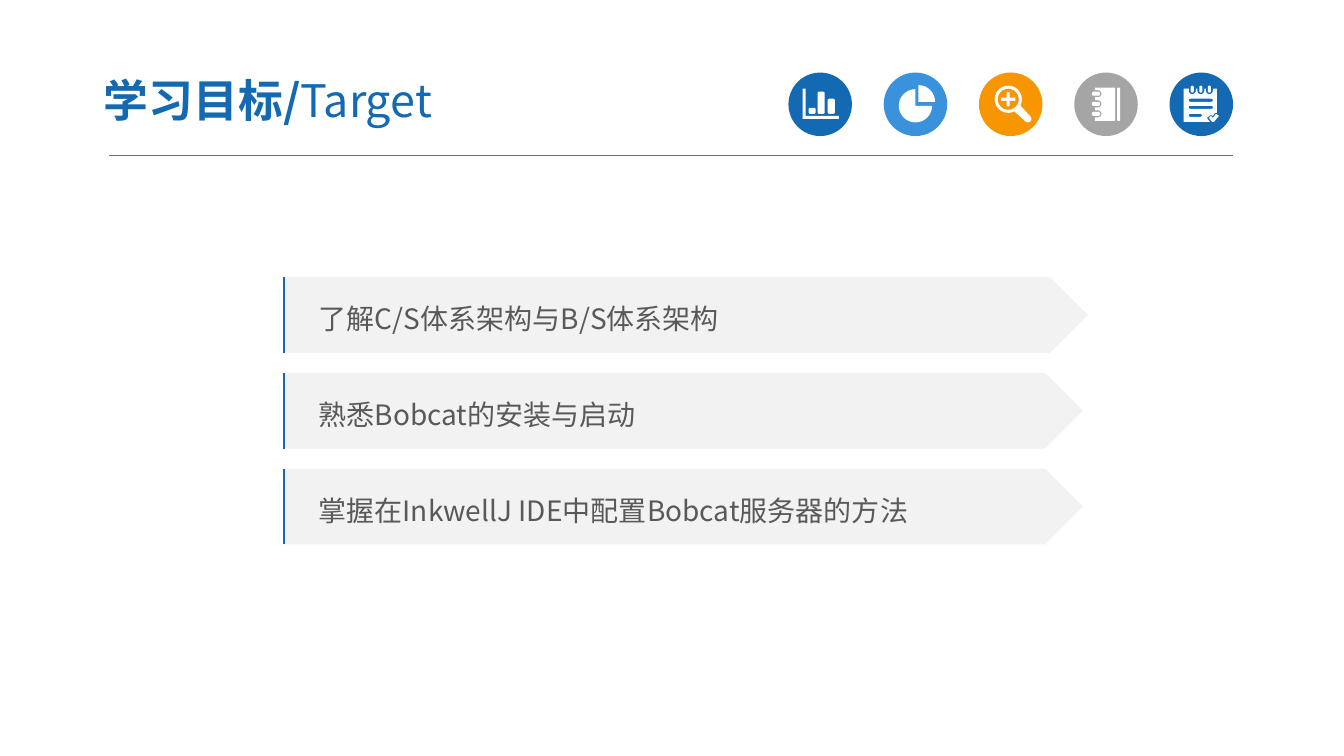
import math

import pptx
import pptx.util
import pptx.dml.color
import pptx.enum.shapes
import pptx.enum.text
import pptx.oxml
import pptx.oxml.ns

Inches = pptx.util.Inches
RGBColor = pptx.dml.color.RGBColor
Kind = pptx.enum.shapes.MSO_SHAPE

FONT = "Noto Sans CJK SC"
BLUE = RGBColor(0x13, 0x69, 0xB2)
SKY = RGBColor(0x39, 0x92, 0xDB)
ORANGE = RGBColor(0xF7, 0x96, 0x00)
GRAY = RGBColor(0xA5, 0xA5, 0xA5)
RULE = RGBColor(0x70, 0x70, 0x70)
PALE = RGBColor(0xF2, 0xF2, 0xF2)
INK = RGBColor(0x59, 0x59, 0x59)
WHITE = RGBColor(0xFF, 0xFF, 0xFF)

GOALS = [
    ("了解C/S体系架构与B/S体系架构", 7.98),
    ("熟悉Bobcat的安装与启动", 7.93),
    ("掌握在InkwellJ IDE中配置Bobcat服务器的方法", 7.93),
]


def add_text(para, text, size=20, color=INK, bold=False):
    run = para.add_run()
    run.text = text
    font = run.font
    font.size = pptx.util.Pt(size)
    font.bold = bold
    font.name = FONT
    font.color.rgb = color
    east = pptx.oxml.parse_xml(
        f'<a:ea {pptx.oxml.ns.nsdecls("a")} typeface="{FONT}"/>')
    font._element.find(pptx.oxml.ns.qn("a:latin")).addnext(east)


def set_frame(frame, left, top, right, bottom):
    frame.word_wrap = True
    frame.auto_size = pptx.enum.text.MSO_AUTO_SIZE.NONE
    frame.vertical_anchor = pptx.enum.text.MSO_ANCHOR.MIDDLE
    frame.margin_left, frame.margin_right = Inches(left), Inches(right)
    frame.margin_top, frame.margin_bottom = Inches(top), Inches(bottom)
    para = frame.paragraphs[0]
    para.alignment = pptx.enum.text.PP_ALIGN.LEFT
    return para


def paint(shape, fill):
    shape.shadow.inherit = False
    shape.fill.solid()
    shape.fill.fore_color.rgb = fill
    shape.line.fill.background()
    return shape


def add_shape(slide, kind, box, fill):
    return paint(slide.shapes.add_shape(kind, *map(Inches, box)), fill)


def add_line(slide, start, end, color, width):
    line = slide.shapes.add_connector(
        pptx.enum.shapes.MSO_CONNECTOR.STRAIGHT,
        *map(Inches, start + end))
    line.line.color.rgb = color
    line.line.width = pptx.util.Pt(width)
    line._element.spPr.append(pptx.oxml.parse_xml(
        f'<a:effectLst {pptx.oxml.ns.nsdecls("a")}/>'))


def add_glyph(slide, loops):
    """Draw closed loops as one white shape; inner loops are holes."""
    loops = [[(Inches(x), Inches(y)) for x, y in loop] for loop in loops]
    pen = slide.shapes.build_freeform(*loops[0][0])
    for i, loop in enumerate(loops):
        if i:
            pen.move_to(*loop[0])
        pen.add_line_segments(loop[1:], close=True)
    paint(pen.convert_to_shape(), WHITE)


def arc(x, y, radius, start, end, steps=8):
    """Points from start to end degrees, clockwise from the right."""
    turns = [math.radians(start + (end - start) * i / steps)
             for i in range(steps + 1)]
    return [(x + radius * math.cos(t), y + radius * math.sin(t))
            for t in turns]


def bar(left, top, width, height, radius=0.015):
    right, low = left + width - radius, top + height - radius
    left, top = left + radius, top + radius
    return (arc(left, top, radius, 180, 270, 3)
            + arc(right, top, radius, 270, 360, 3)
            + arc(right, low, radius, 0, 90, 3)
            + arc(left, low, radius, 90, 180, 3))


def chart_loops():
    axes = [(7.96, 0.88), (7.99, 0.88), (7.99, 1.15), (8.32, 1.15),
            (8.32, 1.18), (7.96, 1.18)]
    tops = [(8.02, 1.07), (8.11, 0.91), (8.21, 0.98)]
    return [axes] + [bar(x, y, 0.07, 1.13 - y) for x, y in tops]


def pie_loops():
    return [[(9.11, 1.01)] + arc(9.11, 1.01, 0.165, 270, 360),
            [(9.08, 1.05)] + arc(9.08, 1.05, 0.165, 0, 270, 24)]


def lens_loops():
    rim = arc(10, 0.985, 0.135, 63, 387, 28)
    grip = arc(10.195, 1.18, 0.035, -45, 135)
    half, reach = 0.015, 0.07
    plus = []
    for a, b in [(1, 1), (-1, 1), (-1, -1), (1, -1)]:
        corner = [(a * reach, b * half), (a * half, b * half),
                  (a * half, b * reach)]
        plus += corner if a * b > 0 else corner[::-1]
    return [rim + grip, arc(10, 0.985, 0.105, 0, 360, 24),
            [(10 + x, 0.985 + y) for x, y in plus]]


def book_loops():
    rings = [1.13, 1.03, 0.93]
    body = [(10.86, 0.87), (11.06, 0.87), (11.06, 1.2), (10.86, 1.2)]
    for y in rings:
        body += [(10.86, y + 0.035), *arc(10.89, y, 0.035, 90, -90),
                 (10.86, y - 0.035)]
    return [body, bar(11.08, 0.87, 0.03, 0.33, 0.01)] + [
        bar(10.83, y - 0.02, 0.08, 0.04) for y in rings]


def pad_loops():
    rings = [11.825, 11.91, 11.995]
    body = [(11.74, 1.21), (11.74, 0.88)]
    for x in rings:
        body += [(x - 0.035, 0.88), *arc(x, 0.9, 0.035, 180, 0),
                 (x + 0.035, 0.88)]
    body += [(12.07, 0.88), (12.07, 1.12), (12.05, 1.12), (12.03, 1.15),
             (12.01, 1.14), (11.97, 1.17), (12, 1.21)]
    tick = [(11.99, 1.17), (12.01, 1.15), (12.03, 1.17), (12.06, 1.13),
            (12.09, 1.15), (12.04, 1.21), (12.02, 1.21)]
    rows = [(0.98, 0.24), (1.05, 0.24), (1.13, 0.13)]
    return ([body, tick]
            + [bar(x - 0.015, 0.85, 0.03, 0.07) for x in rings]
            + [bar(11.79, y, width, 0.03) for y, width in rows])


def add_goal(slide, text, top, width):
    arrow = add_shape(slide, Kind.PENTAGON, (2.81, top, width, 0.75), PALE)
    para = set_frame(arrow.text_frame, 0.35, 0.05, 0.1, 0.05)
    para.line_spacing = 1.2
    add_text(para, text)
    add_line(slide, (2.82, top + 0.75), (2.82, top), BLUE, 1.5)


def main():
    deck = pptx.Presentation()
    deck.slide_width, deck.slide_height = Inches(13.33), Inches(7.5)
    slide = deck.slides.add_slide(deck.slide_layouts[5])

    # Title and rule
    title = slide.shapes.title
    title.left, title.top = Inches(0.9), Inches(0.63)
    title.width, title.height = Inches(5.22), Inches(0.72)
    para = set_frame(title.text_frame, 0.13, 0.07, 0.13, 0.07)
    add_text(para, "学习目标/", size=32, color=BLUE, bold=True)
    add_text(para, "Target", size=32, color=BLUE)
    add_line(slide, (1.08, 1.54), (12.23, 1.54), RULE, 0.5)

    # Row of round icons
    icons = [(BLUE, chart_loops), (SKY, pie_loops), (ORANGE, lens_loops),
             (GRAY, book_loops), (BLUE, pad_loops)]
    for i, (color, loops) in enumerate(icons):
        add_shape(slide, Kind.OVAL, (7.82 + i * 0.945, 0.72, 0.63, 0.63), color)
        add_glyph(slide, loops())

    # Learning goals
    for i, (text, width) in enumerate(GOALS):
        add_goal(slide, text, 2.75 + i * 0.95, width)

    deck.save("out.pptx")


if __name__ == "__main__":
    main()
